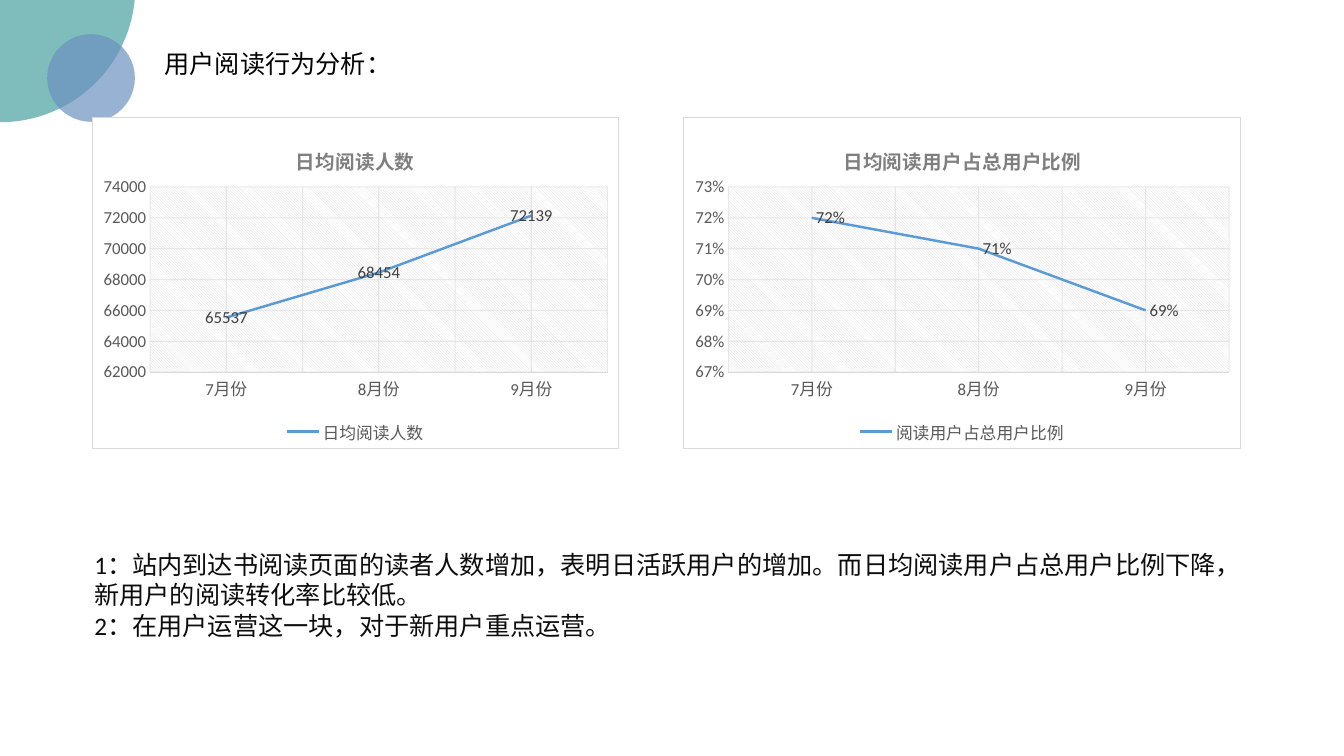
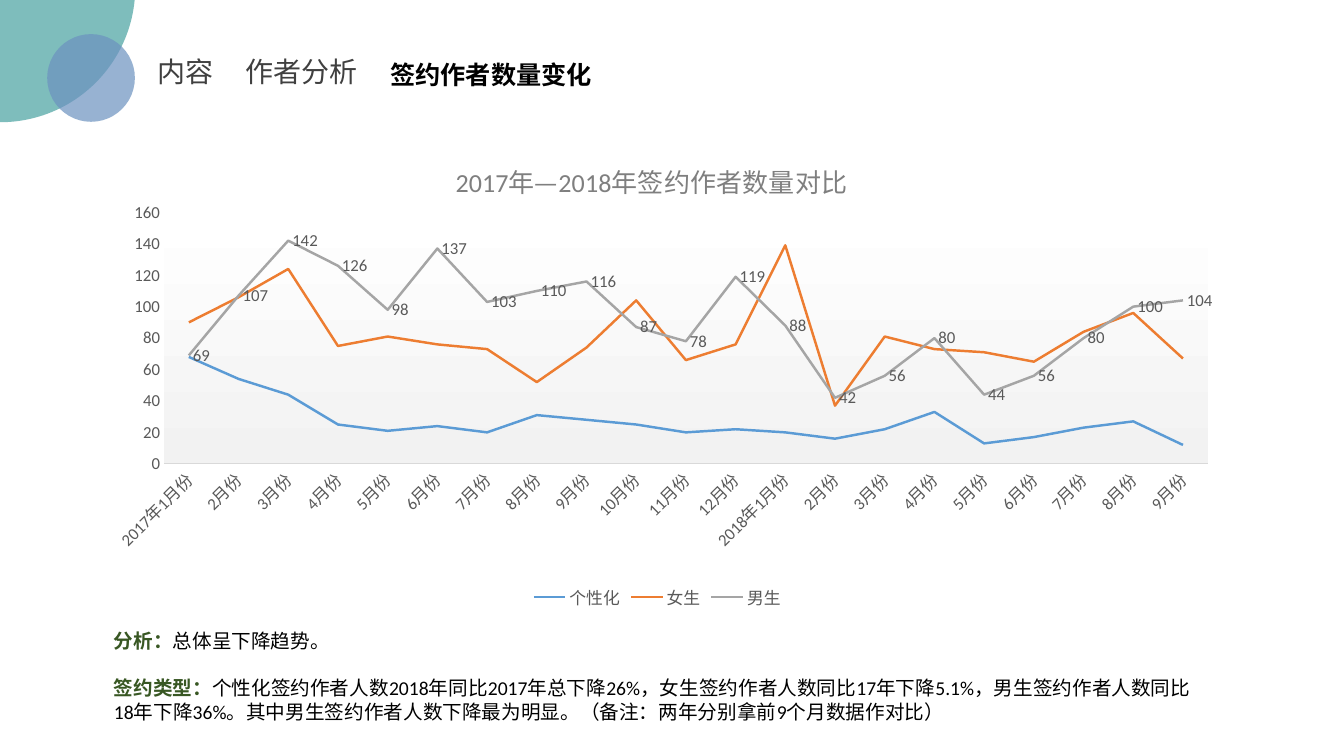
from dataclasses import dataclass
from typing import Optional

from lxml import etree
from pptx import Presentation
from pptx.chart.data import CategoryChartData
from pptx.dml.color import RGBColor
from pptx.enum.chart import XL_CHART_TYPE, XL_LABEL_POSITION, XL_LEGEND_POSITION, XL_MARKER_STYLE, XL_TICK_MARK
from pptx.enum.shapes import MSO_SHAPE
from pptx.enum.text import MSO_ANCHOR, MSO_AUTO_SIZE, PP_ALIGN
from pptx.oxml import parse_xml
from pptx.oxml.ns import nsdecls, qn
from pptx.util import Cm, Pt

LINE = XL_CHART_TYPE.LINE
CENTER, RIGHT = XL_LABEL_POSITION.CENTER, XL_LABEL_POSITION.RIGHT
LEGEND_BOTTOM = XL_LEGEND_POSITION.BOTTOM
NO_MARKER = XL_MARKER_STYLE.NONE
NO_TICK = XL_TICK_MARK.NONE
ELLIPSE = MSO_SHAPE.OVAL
TOP, LEFT = MSO_ANCHOR.TOP, PP_ALIGN.LEFT
NO_AUTOFIT = MSO_AUTO_SIZE.NONE


@dataclass(frozen=True)
class Theme:
    teal: str = "48A2A0"
    blue: str = "6C92C0"
    black: str = "000000"
    ink: str = "0D0D0D"
    dark: str = "404040"
    axis: str = "595959"
    chart_title: str = "7F7F7F"
    rule: str = "D9D9D9"
    green: str = "385723"
    series: tuple[str, ...] = ("5B9BD5", "ED7D31", "A5A5A5")
    font: str = "Calibri"
    cjk: str = "Noto Sans CJK SC"
    crumb: float = 20
    title: float = 18
    body: float = 14
    label: float = 12


T = Theme()
HATCH = (f'<a:pattFill prst="ltDnDiag"><a:fgClr><a:srgbClr val="{T.rule}"/></a:fgClr>'
         '<a:bgClr><a:srgbClr val="FFFFFF"/></a:bgClr></a:pattFill>')
FADE = ('<a:gradFill><a:gsLst><a:gs pos="0"><a:srgbClr val="FFFFFF"/></a:gs>'
        '<a:gs pos="100000"><a:srgbClr val="F2F2F2"/></a:gs></a:gsLst>'
        '<a:lin ang="5400000" scaled="0"/></a:gradFill>')
WHITE = '<a:solidFill><a:srgbClr val="FFFFFF"/></a:solidFill>'
NO_LINE = "<a:ln><a:noFill/></a:ln>"
FRAME = f'<a:ln w="9525"><a:solidFill><a:srgbClr val="{T.rule}"/></a:solidFill></a:ln>'
GRID = (f'<a:ln w="9525"><a:solidFill><a:srgbClr val="{T.rule}"><a:alpha val="54000"/>'
        '</a:srgbClr></a:solidFill></a:ln>')


@dataclass(frozen=True)
class Box:
    """Left, top, width and height in centimetres."""
    x: float
    y: float
    w: float
    h: float

    def emu(self) -> tuple[int, ...]:
        return Cm(self.x), Cm(self.y), Cm(self.w), Cm(self.h)


@dataclass(frozen=True)
class Run:
    text: str
    color: str = T.black
    bold: bool = False


@dataclass(frozen=True)
class LineChart:
    box: Box
    title: str
    title_size: float
    title_bold: bool
    title_at: tuple[float, float]
    plot_at: tuple[float, float, float, float]
    cats: list[str]
    series: dict[str, list[float]]
    scale: tuple[float, float, float]
    number_format: str = "General"
    label_color: str = T.dark
    label_pos: XL_LABEL_POSITION = RIGHT
    plot_fill: str = HATCH
    boxed: bool = True
    label_angle: Optional[int] = None


# Text
def rgb(color: str) -> RGBColor:
    return RGBColor.from_string(color)


def style_font(font, size: float, color: str, bold: bool = False, name: str = T.font) -> None:
    font.size, font.bold, font.name = Pt(size), bold, name
    font.color.rgb = rgb(color)


def set_cjk(element) -> None:
    """Name the East Asian font beside every Latin one."""
    for latin in list(element.iter(qn("a:latin"))):
        ea = etree.Element(qn("a:ea"))
        ea.set("typeface", T.cjk)
        latin.addnext(ea)


def write(sp, paragraphs: list[list[Run]], *, size: float, font: str = T.font,
          gap: float = 0, tab: Optional[float] = None) -> None:
    tf = sp.text_frame
    tf.word_wrap, tf.auto_size, tf.vertical_anchor = True, NO_AUTOFIT, TOP
    for i, runs in enumerate(paragraphs):
        p = tf.add_paragraph() if i else tf.paragraphs[0]
        p.alignment = LEFT
        if i and gap:
            p.space_before = Pt(gap)
        if tab is not None:
            tabs = etree.SubElement(p._p.get_or_add_pPr(), qn("a:tabLst"))
            etree.SubElement(tabs, qn("a:tab"), pos=str(int(Cm(tab))), algn="l")
        for run in runs:
            r = p.add_run()
            r.text = run.text
            style_font(r.font, size, run.color, run.bold, font)
    set_cjk(sp.element)


def add_text(slide, box: Box, paragraphs: list[list[Run]], **fmt) -> None:
    write(slide.shapes.add_textbox(*box.emu()), paragraphs, **fmt)


# Shared slide frame
def add_disc(slide, x: float, y: float, size: float, color: str) -> None:
    sp = slide.shapes.add_shape(ELLIPSE, Cm(x), Cm(y), Cm(size), Cm(size))
    sp.shadow.inherit = False
    sp.fill.solid()
    sp.fill.fore_color.rgb = rgb(color)
    sp.line.fill.background()
    clr = sp.element.spPr.find(f"{qn('a:solidFill')}/{qn('a:srgbClr')}")
    etree.SubElement(clr, qn("a:alpha"), val="70000")


def add_slide(prs, box: Box, title: Run, font: str = T.font):
    slide = prs.slides.add_slide(prs.slide_layouts[5])
    add_disc(slide, -3.4, -3.73, 6.81, T.teal)
    add_disc(slide, 1.19, 0.86, 2.21, T.blue)
    sp = slide.shapes.title
    sp.left, sp.top, sp.width, sp.height = box.emu()
    write(sp, [[title]], size=T.title, font=font)
    return slide


# Charts
def place(parent, index: int, pos: tuple[float, ...], inner: bool = False) -> None:
    """Fix a chart part at fractions of the chart's size."""
    for old in parent.findall(qn("c:layout")):
        parent.remove(old)
    layout = etree.Element(qn("c:layout"))
    manual = etree.SubElement(layout, qn("c:manualLayout"))
    if inner:
        etree.SubElement(manual, qn("c:layoutTarget"), val="inner")
    for key in ("xMode", "yMode"):
        etree.SubElement(manual, qn(f"c:{key}"), val="edge")
    for key, value in zip("xywh", pos):
        etree.SubElement(manual, qn(f"c:{key}"), val=str(value))
    parent.insert(index, layout)


def surface(fill: str, line: str):
    return parse_xml(f'<c:spPr {nsdecls("c", "a")}>{fill}{line}</c:spPr>')


def style_axes(chart, item: LineChart) -> None:
    cat, val = chart.category_axis, chart.value_axis
    val.minimum_scale, val.maximum_scale, val.major_unit = item.scale
    for axis in (cat, val):
        axis.major_tick_mark = axis.minor_tick_mark = NO_TICK
        style_font(axis.tick_labels.font, T.label, T.axis)
        axis.has_major_gridlines = item.boxed
    cat.has_minor_gridlines = item.boxed
    for grid in chart.element.iter(qn("c:majorGridlines"), qn("c:minorGridlines")):
        grid.append(surface("", GRID))
    cat.format.line.width = Pt(0.75)
    cat.format.line.color.rgb = rgb(T.rule)
    val.format.line.fill.background()
    val.tick_labels.number_format = item.number_format
    val.tick_labels.number_format_is_linked = False
    if item.label_angle is not None:
        body = chart.element.find(f".//{qn('c:catAx')}/{qn('c:txPr')}/{qn('a:bodyPr')}")
        body.set("rot", str(item.label_angle * 60000))
        body.set("vert", "horz")


def add_line_chart(slide, item: LineChart) -> None:
    data = CategoryChartData(number_format=item.number_format)
    data.categories = item.cats
    for name, values in item.series.items():
        data.add_series(name, values)
    chart = slide.shapes.add_chart(LINE, *item.box.emu(), data).chart
    style_font(chart.font, 10, T.black)
    chart.has_title = True
    r = chart.chart_title.text_frame.paragraphs[0].add_run()
    r.text = item.title
    style_font(r.font, item.title_size, T.chart_title, item.title_bold)
    place(chart.element.find(f".//{qn('c:title')}"), 1, item.title_at)
    chart.has_legend = True
    chart.legend.position = LEGEND_BOTTOM
    chart.legend.include_in_layout = False
    style_font(chart.legend.font, T.label, T.axis)
    style_axes(chart, item)

    plot = chart.plots[0]
    plot.vary_by_categories = False
    for series, color in zip(plot.series, T.series):
        series.smooth = False
        series.marker.style = NO_MARKER
        series.format.line.width = Pt(1.75)
        series.format.line.color.rgb = rgb(color)
    labels = plot.series[-1].data_labels
    labels.show_value, labels.position = True, item.label_pos
    labels.number_format, labels.number_format_is_linked = item.number_format, False
    style_font(labels.font, T.label, item.label_color)

    # Chart and plot backgrounds, square corners
    root = chart.element
    area = root.find(f".//{qn('c:plotArea')}")
    place(area, 0, item.plot_at, inner=True)
    area.append(surface(item.plot_fill, NO_LINE))
    root.find(qn("c:chart")).addnext(surface(WHITE, FRAME if item.boxed else NO_LINE))
    if root.find(qn("c:roundedCorners")) is None:
        corners = etree.Element(qn("c:roundedCorners"), val="0")
        root.find(qn("c:date1904")).addnext(corners)
    set_cjk(root)


# Slides
def build_reading(prs) -> None:
    slide = add_slide(prs, Box(3.89, 1.09, 10.97, 1.02), Run("用户阅读行为分析："))
    months = [f"{m}月份" for m in range(7, 10)]
    add_line_chart(slide, LineChart(
        Box(2.31, 2.95, 13.28, 8.36), "日均阅读人数", T.body, True, (0.38, 0.07),
        (0.11, 0.21, 0.87, 0.56), months, {"日均阅读人数": [65537, 68454, 72139]},
        (62000, 74000, 2000), label_pos=CENTER))
    add_line_chart(slide, LineChart(
        Box(17.22, 2.95, 14.05, 8.36), "日均阅读用户占总用户比例", T.body, True, (0.28, 0.07),
        (0.08, 0.21, 0.9, 0.56), months, {"阅读用户占总用户比例": [0.72, 0.71, 0.69]},
        (0.67, 0.73, 0.01), number_format="0%"))
    add_text(slide, Box(2.13, 13.72, 29.11, 2.57), [
        [Run("1：站内到达书阅读页面的读者人数增加，表明日活跃用户的增加。"
             "而日均阅读用户占总用户比例下降，新用户的阅读转化率比较低。", T.ink)],
        [Run("2：在用户运营这一块，对于新用户重点运营。", T.ink)],
    ], size=T.title)


def build_authors(prs) -> None:
    slide = add_slide(prs, Box(9.58, 1.37, 14.71, 1.02),
                      Run("签约作者数量变化", bold=True), T.cjk)
    add_text(slide, Box(3.73, 1.24, 5.84, 1.12), [[Run("内容\t作者分析", T.dark)]],
             size=T.crumb, font=T.cjk, tab=2.2)
    months = [f"{year}年{m}月份" if m == 1 else f"{m}月份"
              for year, last in ((2017, 12), (2018, 9)) for m in range(1, last + 1)]
    add_line_chart(slide, LineChart(
        Box(2.11, 3.28, 28.91, 12.19), "2017年—2018年签约作者数量对比", 18.6, False,
        (0.32, 0.05), (0.07, 0.17, 0.91, 0.52), months, {
            "个性化": [68, 54, 44, 25, 21, 24, 20, 31, 28, 25, 20, 22,
                    20, 16, 22, 33, 13, 17, 23, 27, 12],
            "女生": [90, 106, 124, 75, 81, 76, 73, 52, 74, 104, 66, 76,
                   139, 37, 81, 73, 71, 65, 84, 96, 67],
            "男生": [69, 107, 142, 126, 98, 137, 103, 110, 116, 87, 78, 119,
                   88, 42, 56, 80, 44, 56, 80, 100, 104],
        }, (0, 160, 20), label_color=T.axis, plot_fill=FADE, boxed=False, label_angle=-45))
    add_text(slide, Box(2.62, 15.72, 27.89, 2.64), [
        [Run("分析：", T.green, True), Run("总体呈下降趋势。")],
        [Run("签约类型：", T.green, True),
         Run("个性化签约作者人数2018年同比2017年总下降26%，女生签约作者人数同比17年下降5.1%，"
             "男生签约作者人数同比18年下降36%。其中男生签约作者人数下降最为明显。"
             "（备注：两年分别拿前9个月数据作对比）")],
    ], size=T.body, gap=17)


def main() -> None:
    prs = Presentation()
    prs.slide_width, prs.slide_height = Cm(33.87), Cm(19.05)
    build_reading(prs)
    build_authors(prs)
    prs.save("out.pptx")


if __name__ == "__main__":
    main()
